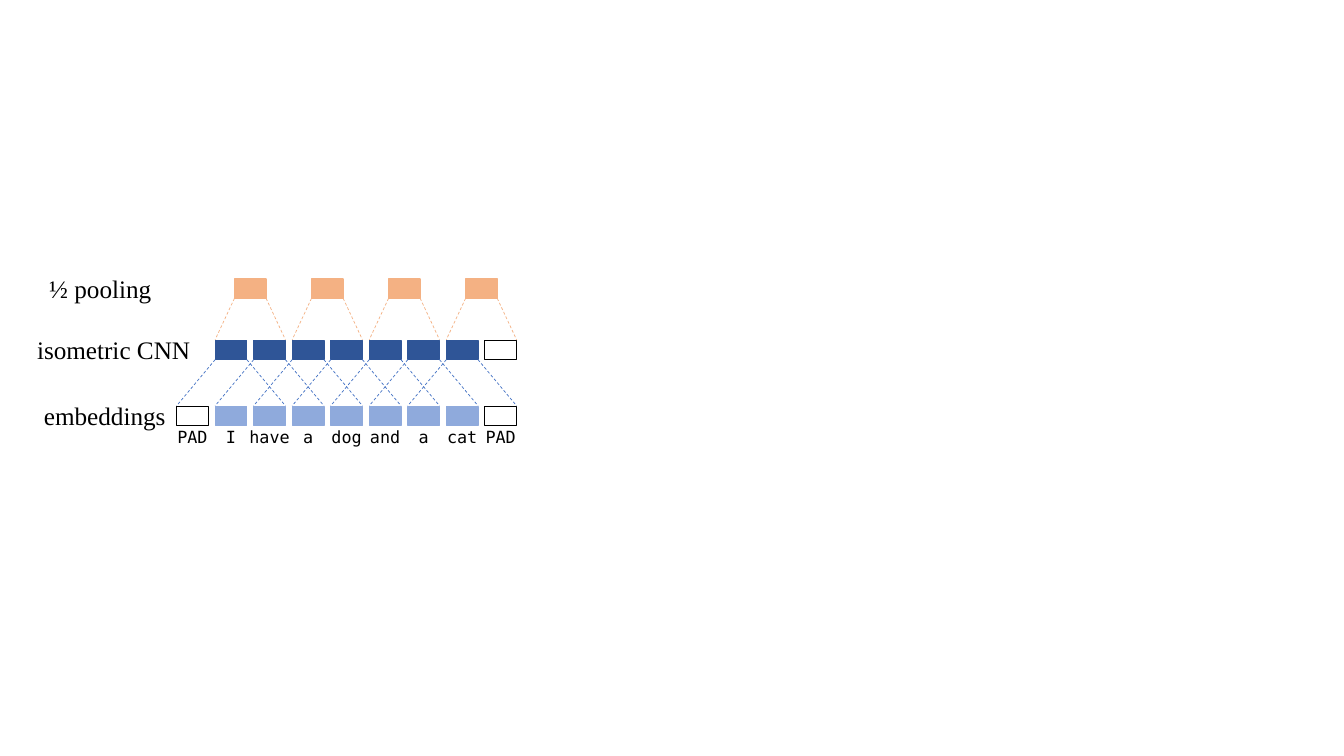
import dataclasses

import pptx
import pptx.dml.color
import pptx.enum.dml
import pptx.enum.shapes
import pptx.enum.text
import pptx.oxml
import pptx.oxml.ns
import pptx.slide
import pptx.util

Pt = pptx.util.Pt
RGB = pptx.dml.color.RGBColor
ALIGN = pptx.enum.text.PP_ALIGN

BLACK = RGB(0x00, 0x00, 0x00)
LIGHT = RGB(0x8F, 0xAA, 0xDC)
DARK = RGB(0x2F, 0x55, 0x97)
BLUE = RGB(0x44, 0x72, 0xC4)
ORANGE = RGB(0xF4, 0xB1, 0x83)

SERIF = "Times New Roman"
MONO = "DejaVu Sans Mono"

LEFT, STEP = 126.2, 27.52
CELL_W, CELL_H = 22.6, 13.7
POOL_Y, CONV_Y, EMBED_Y = 199.4, 243.2, 290.2
WORD_Y, WORD_W, WORD_H = 301, 49, 21.8
TOKENS = ["PAD", "I", "have", "a", "dog", "and", "a", "cat", "PAD"]
LAST = len(TOKENS) - 1


@dataclasses.dataclass
class Label:
    """A line of text and the box that holds it."""
    text: str
    left: float
    top: float
    width: float
    height: float = 29
    font: str = SERIF
    size: float = 18
    align: ALIGN = ALIGN.LEFT


NAMES = [
    Label("½ pooling", 28.1, 191.6, 103),
    Label("isometric CNN", 19.4, 235.6, 126.7),
    Label("embeddings", 11.5, 282.4, 126.7, align=ALIGN.CENTER),
]


def col_x(col: float) -> float:
    """Return the left edge of a column."""
    return LEFT + col * STEP


def add_cell(slide: pptx.slide.Slide, left: float, top: float,
             color: RGB | None = None) -> None:
    """Draw a filled cell, or an empty padding cell without a colour."""
    cell = slide.shapes.add_shape(
        pptx.enum.shapes.MSO_SHAPE.RECTANGLE,
        Pt(left), Pt(top), Pt(CELL_W), Pt(CELL_H))
    cell.shadow.inherit = False
    if color is None:
        cell.fill.background()
        cell.line.color.rgb = BLACK
        cell.line.width = Pt(0.75)
    else:
        cell.fill.solid()
        cell.fill.fore_color.rgb = color
        cell.line.color.rgb = color
        cell.line.width = Pt(1)


def add_dash(slide: pptx.slide.Slide, start: float, top: float,
             end: float, low: float, color: RGB) -> None:
    """Draw a thin dashed line."""
    line = slide.shapes.add_connector(
        pptx.enum.shapes.MSO_CONNECTOR.STRAIGHT,
        Pt(start), Pt(top), Pt(end), Pt(low))
    line.line.color.rgb = color
    line.line.width = Pt(0.5)
    line.line.dash_style = pptx.enum.dml.MSO_LINE.DASH
    props = line._element.spPr
    props.append(pptx.oxml.parse_xml(
        "<a:effectLst %s/>" % pptx.oxml.ns.nsdecls("a")))


def add_fan(slide: pptx.slide.Slide, left: float, top: float,
            first: int, last: int, low: float, color: RGB) -> None:
    """Join a cell's foot to the outer edges of the columns it covers."""
    add_dash(slide, left, top, col_x(first), low, color)
    add_dash(slide, left + CELL_W, top, col_x(last) + CELL_W, low, color)


def add_label(slide: pptx.slide.Slide, label: Label) -> None:
    """Write a label."""
    box = slide.shapes.add_textbox(
        Pt(label.left), Pt(label.top), Pt(label.width), Pt(label.height))
    frame = box.text_frame
    frame.word_wrap = True
    frame.auto_size = pptx.enum.text.MSO_AUTO_SIZE.SHAPE_TO_FIT_TEXT
    frame.text = label.text
    para = frame.paragraphs[0]
    para.alignment = label.align
    font = para.runs[0].font
    font.name = label.font
    font.size = Pt(label.size)
    font.color.rgb = BLACK


def main() -> None:
    """Build the slide and save it."""
    deck = pptx.Presentation()
    deck.slide_width, deck.slide_height = Pt(960), Pt(540)
    slide = deck.slides.add_slide(deck.slide_layouts[6])

    for col in range(LAST + 1):
        pad = col in (0, LAST)
        add_cell(slide, col_x(col), EMBED_Y, None if pad else LIGHT)
        if col > 0:
            add_cell(slide, col_x(col), CONV_Y, None if pad else DARK)

    for col in range(1, LAST):
        add_fan(slide, col_x(col), CONV_Y + CELL_H,
                col - 1, col + 1, EMBED_Y - 0.4, BLUE)

    for col in range(1, LAST, 2):
        left = col_x(col + 0.5)
        add_cell(slide, left, POOL_Y, ORANGE)
        add_fan(slide, left, POOL_Y + CELL_H,
                col, col + 1, CONV_Y - 0.6, ORANGE)

    for col, token in enumerate(TOKENS):
        left = col_x(col) + (CELL_W - WORD_W) / 2
        add_label(slide, Label(token, left, WORD_Y, WORD_W, WORD_H,
                               MONO, 12, ALIGN.CENTER))
    for name in NAMES:
        add_label(slide, name)

    deck.save("out.pptx")


main()
